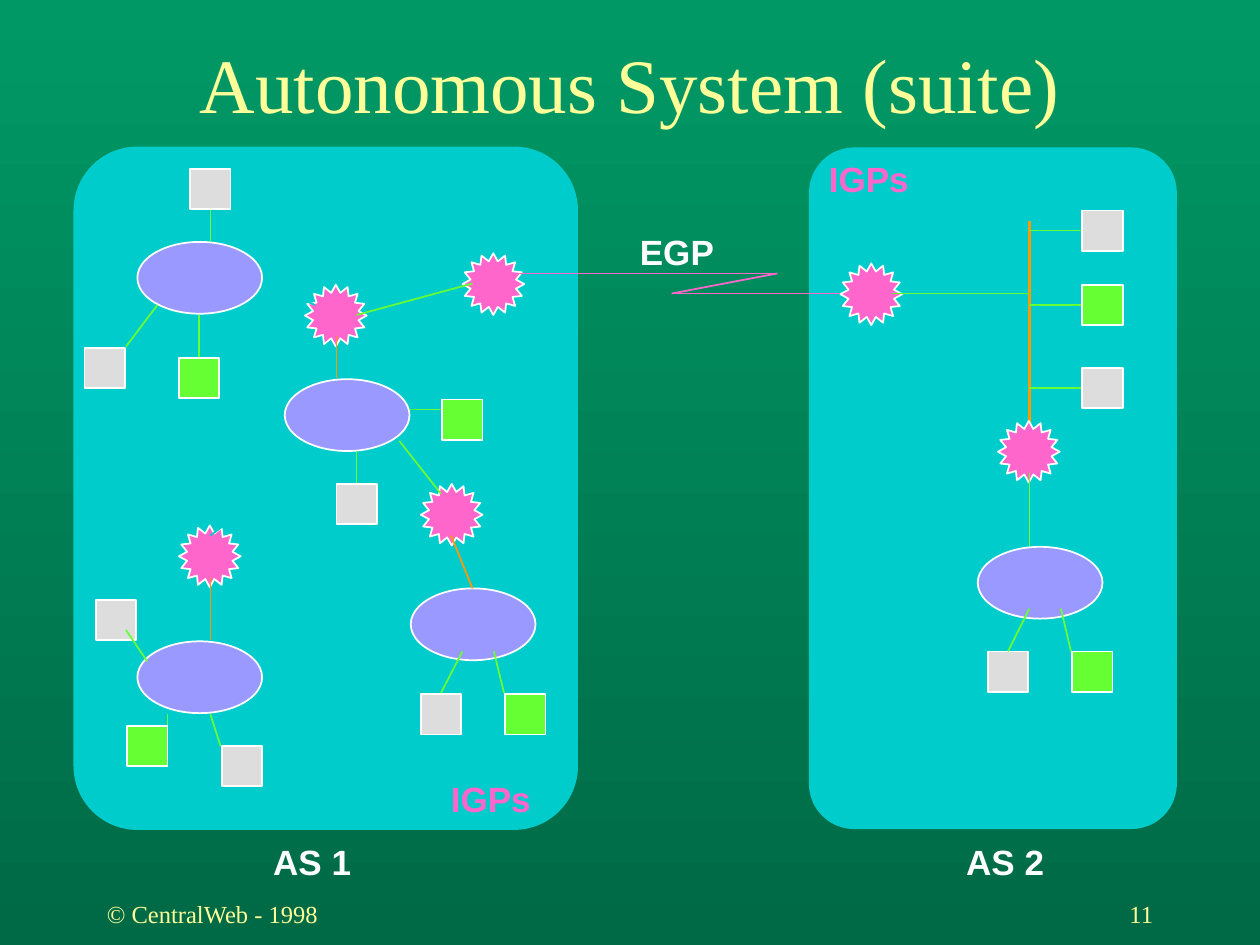
from pptx import Presentation
from pptx.dml.color import RGBColor
from pptx.enum.shapes import MSO_CONNECTOR, MSO_SHAPE
from pptx.enum.text import MSO_ANCHOR, MSO_AUTO_SIZE, PP_ALIGN
from pptx.oxml.ns import qn
from pptx.util import Inches, Pt
from lxml import etree

OVAL = MSO_SHAPE.OVAL
RECT = MSO_SHAPE.RECTANGLE
ROUND = MSO_SHAPE.ROUNDED_RECTANGLE
STAR = MSO_SHAPE.STAR_16_POINT
WIRE = MSO_CONNECTOR.STRAIGHT
LEFT, MID, RIGHT = PP_ALIGN.LEFT, PP_ALIGN.CENTER, PP_ALIGN.RIGHT
TOP, CENTER = MSO_ANCHOR.TOP, MSO_ANCHOR.MIDDLE
FIXED = MSO_AUTO_SIZE.NONE

HUES = {
    "top": "009966", "base": "006A46", "cyan": "00CCCC", "violet": "9999FF",
    "green": "66FF33", "gray": "DDDDDD", "pink": "FF66CC", "orange": "FF9900",
    "white": "FFFFFF", "cream": "FFFF99",
}
SERIF, SANS = "Times New Roman", "Arial"

KINDS = {
    "net": (OVAL, 0.99, 0.57, "violet"),
    "router": (STAR, 0.49, 0.49, "pink"),
    "host": (RECT, 0.32, 0.32, "gray"),
    "server": (RECT, 0.32, 0.32, "green"),
}
NODES = {
    "net": [(1.09, 1.92), (2.26, 3.01), (1.09, 5.09), (3.26, 4.67), (7.76, 4.34)],
    "router": [(2.42, 2.26), (3.67, 2.01), (3.34, 3.84), (1.42, 4.17),
               (7.92, 3.34), (6.67, 2.09)],
    "host": [(1.51, 1.34), (0.76, 4.76), (1.76, 5.92), (3.34, 5.51), (2.67, 3.84),
             (0.67, 2.76), (8.59, 1.67), (8.59, 2.92), (7.84, 5.17)],
    "server": [(1.42, 2.84), (3.51, 3.17), (4.01, 5.51), (1.01, 5.76),
               (8.59, 2.26), (8.51, 5.17)],
}
LINKS = {
    "cyan": [(2.08, 2.25, 2.5, 2.42), (2.58, 3.58, 1.67, 4.25)],
    "orange": [(2.67, 2.67, 2.67, 3), (1.67, 4.58, 1.67, 5.08),
               (3.58, 4.25, 3.75, 4.67)],
    "green": [(3.17, 3.5, 3.5, 3.92), (2.83, 2.5, 3.75, 2.25),
              (1.67, 1.67, 1.67, 1.92), (1.58, 2.5, 1.58, 2.83),
              (1, 2.75, 1.25, 2.42), (3.5, 3.25, 3.25, 3.25),
              (2.83, 3.58, 2.83, 3.83), (1.67, 5.67, 1.75, 5.92),
              (1.33, 5.67, 1.33, 5.75), (1.17, 5.25, 1, 5),
              (3.5, 5.5, 3.67, 5.17), (4, 5.5, 3.92, 5.17),
              (8, 5.17, 8.17, 4.83), (8.5, 5.17, 8.42, 4.83),
              (7.08, 2.33, 8.17, 2.33), (8.17, 3.75, 8.17, 4.33),
              (8.17, 3.08, 8.58, 3.08), (8.17, 2.42, 8.58, 2.42),
              (8.17, 1.83, 8.58, 1.83)],
    "pink": [(6.67, 2.33, 5.33, 2.33), (5.33, 2.33, 6.17, 2.17),
             (4.08, 2.17, 6.17, 2.17)],
}
LABELS = [
    ("AS 1", (2.07, 6.62, 0.93, 0.43), "white"),
    ("AS 2", (7.57, 6.62, 0.93, 0.43), "white"),
    ("EGP", (4.98, 1.78, 0.79, 0.43), "white"),
    ("IGPs", (3.48, 6.12, 0.84, 0.43), "pink"),
    ("IGPs", (6.48, 1.2, 0.84, 0.43), "pink"),
]


def hue(name):
    return RGBColor.from_string(HUES[name])


def paint(slide):
    fill = slide.background.fill
    fill.gradient()
    fill.gradient_angle = 270
    for stop, name, spot in zip(fill.gradient_stops, ("top", "base"), (0, 1)):
        stop.color.rgb = hue(name)
        stop.position = spot


def write(shape, text, size=20, face=SANS, tint="white", bold=False,
          align=LEFT, anchor=TOP, wrap=True):
    frame = shape.text_frame
    frame.auto_size = FIXED
    frame.word_wrap = wrap
    frame.vertical_anchor = anchor
    frame.text = text
    para = frame.paragraphs[0]
    para.alignment = align
    font = para.runs[0].font
    font.size, font.name, font.bold = Pt(size), face, bold
    font.color.rgb = hue(tint)


def label(slide, text, at, **form):
    write(slide.shapes.add_textbox(*map(Inches, at)), text, **form)


def title(slide, text):
    shape = slide.shapes.title
    shape.left, shape.top, shape.width, shape.height = map(Inches, (0, 0.31, 10, 0.69))
    write(shape, text, size=44, face=SERIF, tint="cream", align=MID, anchor=CENTER)


def block(slide, kind, at, tint, edge=None):
    shape = slide.shapes.add_shape(kind, *map(Inches, at))
    shape.shadow.inherit = False
    shape.fill.solid()
    shape.fill.fore_color.rgb = hue(tint)
    if edge:
        shape.line.color.rgb = hue(edge)
        shape.line.width = Pt(1)
    else:
        shape.line.fill.background()
    return shape


def panel(slide, at, curve, edge=None):
    shape = block(slide, ROUND, at, "cyan", edge)
    shape.adjustments[0] = curve / min(at[2:])


def node(slide, role, spot):
    kind, wide, high, tint = KINDS[role]
    block(slide, kind, (*spot, wide, high), tint, "white")


def link(slide, ends, tint, width=1):
    wire = slide.shapes.add_connector(WIRE, *map(Inches, ends))
    wire.line.color.rgb = hue(tint)
    wire.line.width = Pt(width)
    etree.SubElement(wire._element.spPr, qn("a:effectLst"))


def main():
    deck = Presentation()
    deck.slide_width, deck.slide_height = Inches(10), Inches(7.5)
    slide = deck.slides.add_slide(deck.slide_layouts[5])
    paint(slide)
    title(slide, "Autonomous System (suite)")
    panel(slide, (0.59, 1.17, 3.99, 5.41), 0.5, "cyan")
    panel(slide, (6.42, 1.17, 2.92, 5.41), 0.36)
    link(slide, (8.17, 1.75, 8.17, 3.42), "orange", 2)
    for role, spots in NODES.items():
        for spot in spots:
            node(slide, role, spot)
    for tint, wires in LINKS.items():
        for ends in wires:
            link(slide, ends, tint)
    for text, at, tint in LABELS:
        label(slide, text, at, tint=tint, bold=True, wrap=False)
    foot = dict(size=14, face=SERIF, tint="cream", anchor=CENTER)
    label(slide, "11", (7.17, 7, 2.08, 0.5), align=RIGHT, **foot)
    label(slide, "© CentralWeb - 1998", (0.75, 7, 2.08, 0.5), **foot)
    deck.save("out.pptx")


if __name__ == "__main__":
    main()
